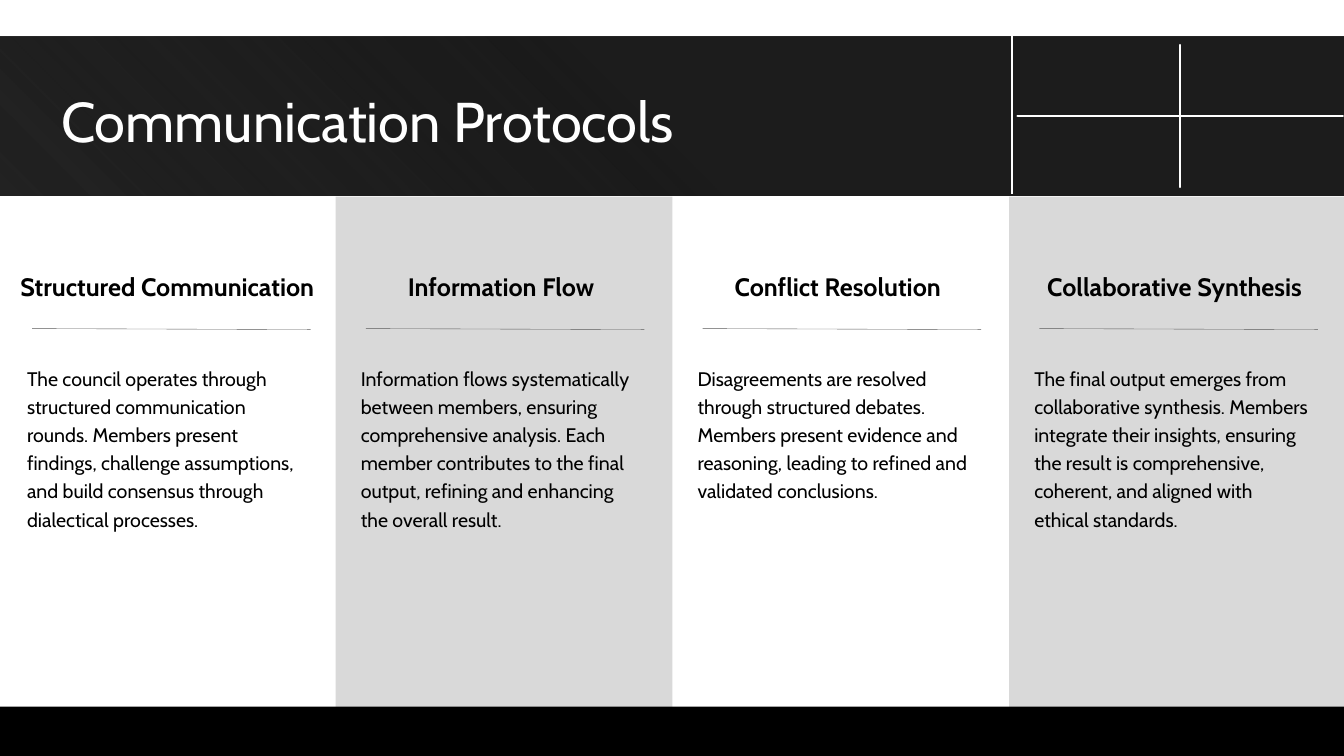
import pptx
import pptx.dml.color
import pptx.enum.shapes
import pptx.enum.text
import pptx.oxml
import pptx.oxml.ns
import pptx.util
from pptx.util import Inches

FONT = "Cabin"
COLORS = {"white": "FFFFFF", "black": "000000", "panel": "D9D9D9",
          "band": "1C1C1C", "rule": "595959"}
SHAPES = pptx.enum.shapes.MSO_SHAPE
ALIGN = pptx.enum.text.PP_ALIGN
ANCHOR = pptx.enum.text.MSO_ANCHOR

# Left edge of the body text, heading, body
COLUMNS = [
    (0.17, "Structured Communication",
     "The council operates through structured communication rounds. Members present "
     "findings, challenge assumptions, and build consensus through dialectical processes."),
    (3.48, "Information Flow",
     "Information flows systematically between members, ensuring comprehensive analysis. "
     "Each member contributes to the final output, refining and enhancing the overall result."),
    (6.82, "Conflict Resolution",
     "Disagreements are resolved through structured debates. Members present evidence "
     "and reasoning, leading to refined and validated conclusions."),
    (10.16, "Collaborative Synthesis",
     "The final output emerges from collaborative synthesis. Members integrate their "
     "insights, ensuring the result is comprehensive, coherent, and aligned with "
     "ethical standards."),
]


def rgb(name):
    return pptx.dml.color.RGBColor.from_string(COLORS[name])


def add_shape(slide, x, y, w, h, color, kind=SHAPES.RECTANGLE):
    sp = slide.shapes.add_shape(kind, Inches(x), Inches(y), Inches(w), Inches(h))
    sp.shadow.inherit = False
    sp.fill.solid()
    sp.fill.fore_color.rgb = rgb(color)
    sp.line.fill.background()
    return sp


def add_text(slide, text, x, y, w, h, size=14, color="black", bold=False,
             align=ALIGN.LEFT, anchor=ANCHOR.TOP):
    sp = slide.shapes.add_textbox(Inches(x), Inches(y), Inches(w), Inches(h))
    tf = sp.text_frame
    tf.word_wrap = True
    tf.vertical_anchor = anchor
    p = tf.paragraphs[0]
    p.alignment = align
    p.line_spacing = 1.2
    r = p.add_run()
    r.text = text
    r.font.name = FONT
    r.font.size = pptx.util.Pt(size)
    r.font.bold = bold
    r.font.color.rgb = rgb(color)


def add_line(slide, x1, y1, x2, y2, color, width):
    line = slide.shapes.add_connector(pptx.enum.shapes.MSO_CONNECTOR.STRAIGHT,
                                      Inches(x1), Inches(y1), Inches(x2), Inches(y2))
    line.line.color.rgb = rgb(color)
    line.line.width = pptx.util.Pt(width)
    line._element.spPr.append(pptx.oxml.parse_xml(
        f'<a:effectLst {pptx.oxml.ns.nsdecls("a")}/>'))


def fade_band(sp):
    """Fill the title band with a diagonal fade to translucent black."""
    grad = pptx.oxml.parse_xml(
        f'<a:gradFill {pptx.oxml.ns.nsdecls("a")} rotWithShape="1"><a:gsLst>'
        f'<a:gs pos="0"><a:srgbClr val="{COLORS["band"]}"/></a:gs>'
        f'<a:gs pos="51000"><a:srgbClr val="{COLORS["band"]}"/></a:gs>'
        f'<a:gs pos="100000"><a:srgbClr val="{COLORS["black"]}">'
        '<a:alpha val="86000"/></a:srgbClr></a:gs>'
        '</a:gsLst><a:lin ang="8100000" scaled="0"/></a:gradFill>')
    spPr = sp._element.spPr
    spPr.replace(spPr.find(pptx.oxml.ns.qn("a:solidFill")), grad)


def add_header(slide):
    fade_band(add_shape(slide, -0.01, 0.36, 13.35, 1.58, "band"))
    add_text(slide, "Communication Protocols", 0.51, 0.68, 7, 0.98,
             size=40, color="white")
    # Window-pane ornament
    plus = add_shape(slide, 9.51, 0.19, 4.39, 1.92, "white", SHAPES.MATH_PLUS)
    plus.adjustments[0] = 0
    plus.line.color.rgb = rgb("white")
    plus.line.width = pptx.util.Pt(1.5)
    add_line(slide, 10.04, 1.92, 10.04, 0.36, "white", 1.5)


def add_column(slide, x, heading, body):
    add_text(slide, heading, x - 0.18, 2.5, 3.34, 0.62, size=18, bold=True,
             align=ALIGN.CENTER, anchor=ANCHOR.MIDDLE)
    add_line(slide, x + 0.15, 3.26, x + 2.91, 3.27, "rule", 0.25)
    add_text(slide, body, x, 3.54, 2.94, 2.15)


def main():
    prs = pptx.Presentation()
    prs.slide_width, prs.slide_height = Inches(13.33), Inches(7.5)
    slide = prs.slides.add_slide(prs.slide_layouts[6])

    # Column panels
    add_shape(slide, -0.01, 2.34, 3.34, 5.16, "white")
    for x in (3.33, 10.01):
        add_shape(slide, x, 1.95, 3.34, 5.35, "panel")

    # Header and footer bands
    add_header(slide)
    add_shape(slide, -0.01, 7.01, 13.35, 0.49, "black")

    # Column content
    for x, heading, body in COLUMNS:
        add_column(slide, x, heading, body)

    prs.save("out.pptx")


if __name__ == "__main__":
    main()
